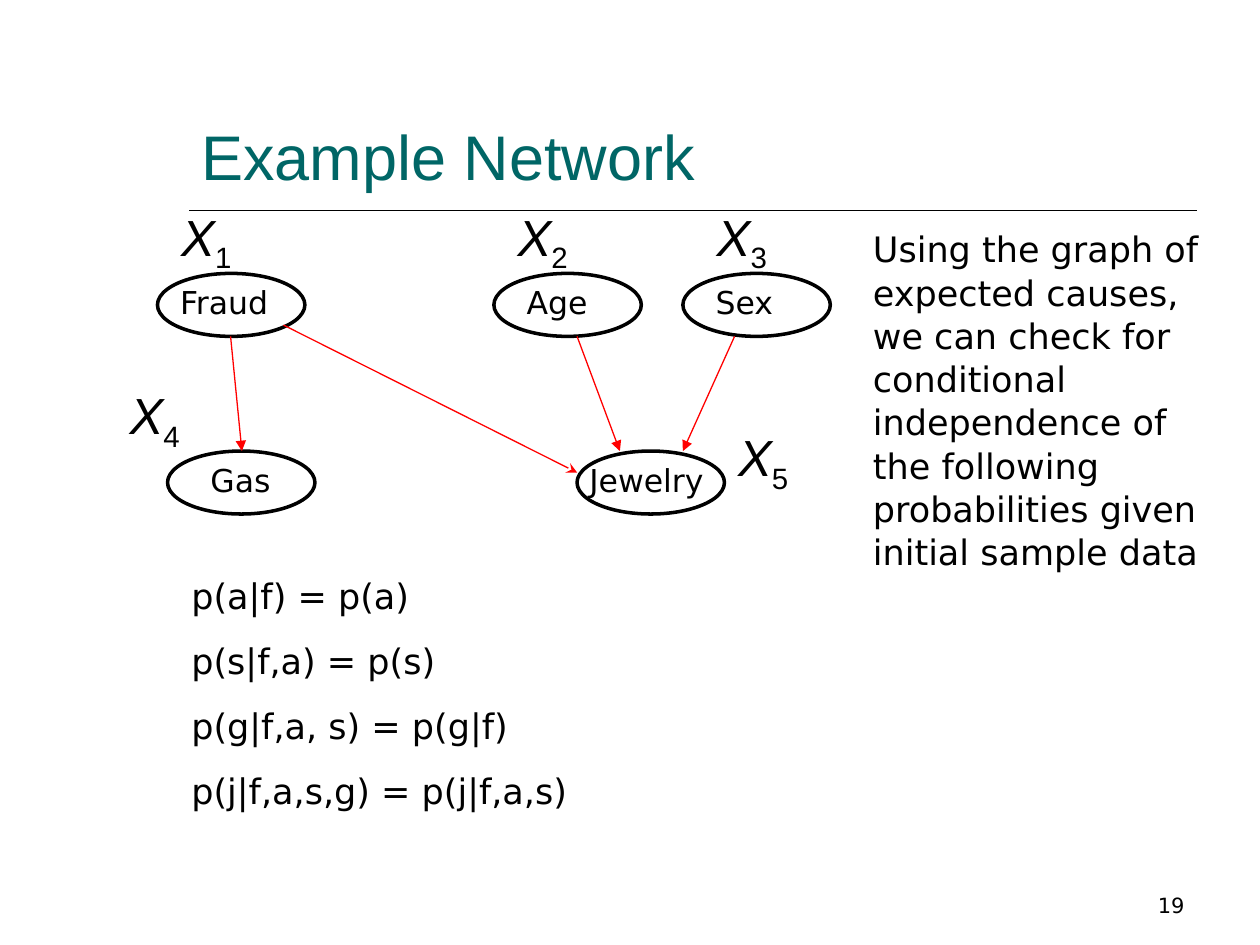
from dataclasses import dataclass

from lxml import etree
from pptx import Presentation
from pptx.dml.color import RGBColor
from pptx.enum.shapes import MSO_CONNECTOR, MSO_SHAPE
from pptx.enum.text import MSO_ANCHOR, PP_ALIGN
from pptx.oxml.ns import qn
from pptx.util import Inches, Pt

STRAIGHT = MSO_CONNECTOR.STRAIGHT
ELLIPSE = MSO_SHAPE.OVAL
TOP, BOTTOM = MSO_ANCHOR.TOP, MSO_ANCHOR.BOTTOM
LEFT, RIGHT = PP_ALIGN.LEFT, PP_ALIGN.RIGHT


@dataclass(frozen=True)
class Theme:
    ink: RGBColor = RGBColor(0, 0, 0)
    teal: RGBColor = RGBColor(0x00, 0x66, 0x66)
    red: RGBColor = RGBColor(0xFF, 0, 0)
    heading_font: str = "Arial"
    body_font: str = "DejaVu Sans"
    title: Pt = Pt(36)
    variable: Pt = Pt(29)
    body: Pt = Pt(20)
    node: Pt = Pt(18)
    number: Pt = Pt(12)


THEME = Theme()

prs = Presentation()
prs.slide_width, prs.slide_height = Inches(10), Inches(7.5)
slide = prs.slides.add_slide(prs.slide_layouts[6])


def add_text(box, lines, size, font=THEME.body_font, color=THEME.ink,
             anchor=TOP, align=LEFT, wrap=True):
    """Add a text box with one paragraph per line and return its text frame."""
    frame = slide.shapes.add_textbox(*map(Inches, box)).text_frame
    frame.word_wrap = wrap
    frame.vertical_anchor = anchor
    frame.text = "\n".join(lines)
    for paragraph in frame.paragraphs:
        paragraph.alignment = align
        paragraph.font.size = size
        paragraph.font.name = font
        paragraph.font.color.rgb = color
    return frame


def add_line(start, end, color, width, head=None):
    line = slide.shapes.add_connector(STRAIGHT, *map(Inches, start + end))
    line.line.color.rgb = color
    line.line.width = Pt(width)
    properties = line._element.spPr
    if head:
        etree.SubElement(properties.find(qn("a:ln")), qn("a:tailEnd"), type=head)
    etree.SubElement(properties, qn("a:effectLst"))


# Heading
add_line((1.5, 1.67), (9.5, 1.67), THEME.ink, 1)
add_text((1.5, 0.33, 8, 1.25), ["Example Network"], THEME.title,
         THEME.heading_font, THEME.teal, BOTTOM)

# Network nodes: label, left, top, label indent
nodes = [
    ("Jewelry", 4.58, 3.58, 0),
    ("Sex", 5.42, 2.17, 0.16),
    ("Age", 3.92, 2.17, 0.16),
    ("Fraud", 1.25, 2.17, 0.08),
    ("Gas", 1.33, 3.58, 0.24),
]
for label, left, top, indent in nodes:
    node = slide.shapes.add_shape(ELLIPSE, *map(Inches, (left, top, 1.17, 0.5)))
    node.shadow.inherit = False
    node.fill.background()
    node.line.color.rgb = THEME.ink
    node.line.width = Pt(2)
    label_frame = add_text((left, top + 0.02, 1.25, 0.4), [label], THEME.node)
    label_frame.margin_left = Inches(0.1 + indent)
    label_frame.paragraphs[0].line_spacing = 1.03

# Causes
causes = [
    ((1.83, 2.67), (1.92, 3.58), "triangle"),
    ((2.25, 2.58), (4.58, 3.75), "stealth"),
    ((4.58, 2.67), (4.92, 3.58), "triangle"),
    ((5.83, 2.67), (5.42, 3.58), "triangle"),
]
for start, end, head in causes:
    add_line(start, end, THEME.red, 0.75, head)

# Variables X1 to X5
variable_corners = [(1.34, 1.58), (4.01, 1.58), (5.59, 1.58), (0.93, 3), (5.76, 3.33)]
for index, corner in enumerate(variable_corners, start=1):
    variable = add_text((*corner, 0.6, 0.65), ["X"], THEME.variable,
                        THEME.heading_font, wrap=False).paragraphs[0]
    variable.runs[0].font.italic = True
    subscript = variable.add_run()
    subscript.text = str(index)
    subscript.font.italic = False
    subscript.font._element.set("baseline", "-25000")

# Independence checks and explanation
formulas = add_text(
    (1.42, 4.5, 7.92, 1.96),
    ["p(a|f) = p(a)", "p(s|f,a) = p(s)", "p(g|f,a, s) = p(g|f)",
     "p(j|f,a,s,g) = p(j|f,a,s)"],
    THEME.body)
explanation = add_text(
    (6.83, 1.75, 2.83, 2.77),
    ["Using the graph of expected causes, we can check for conditional "
     "independence of the following probabilities given initial sample data"],
    THEME.body)
for paragraph in formulas.paragraphs + explanation.paragraphs:
    paragraph.space_before = Pt(12.5)
    paragraph.line_spacing = 1.03

# Slide number
add_text((7.17, 6.83, 2.33, 0.5), ["19"], THEME.number, anchor=BOTTOM, align=RIGHT)

prs.save("out.pptx")
